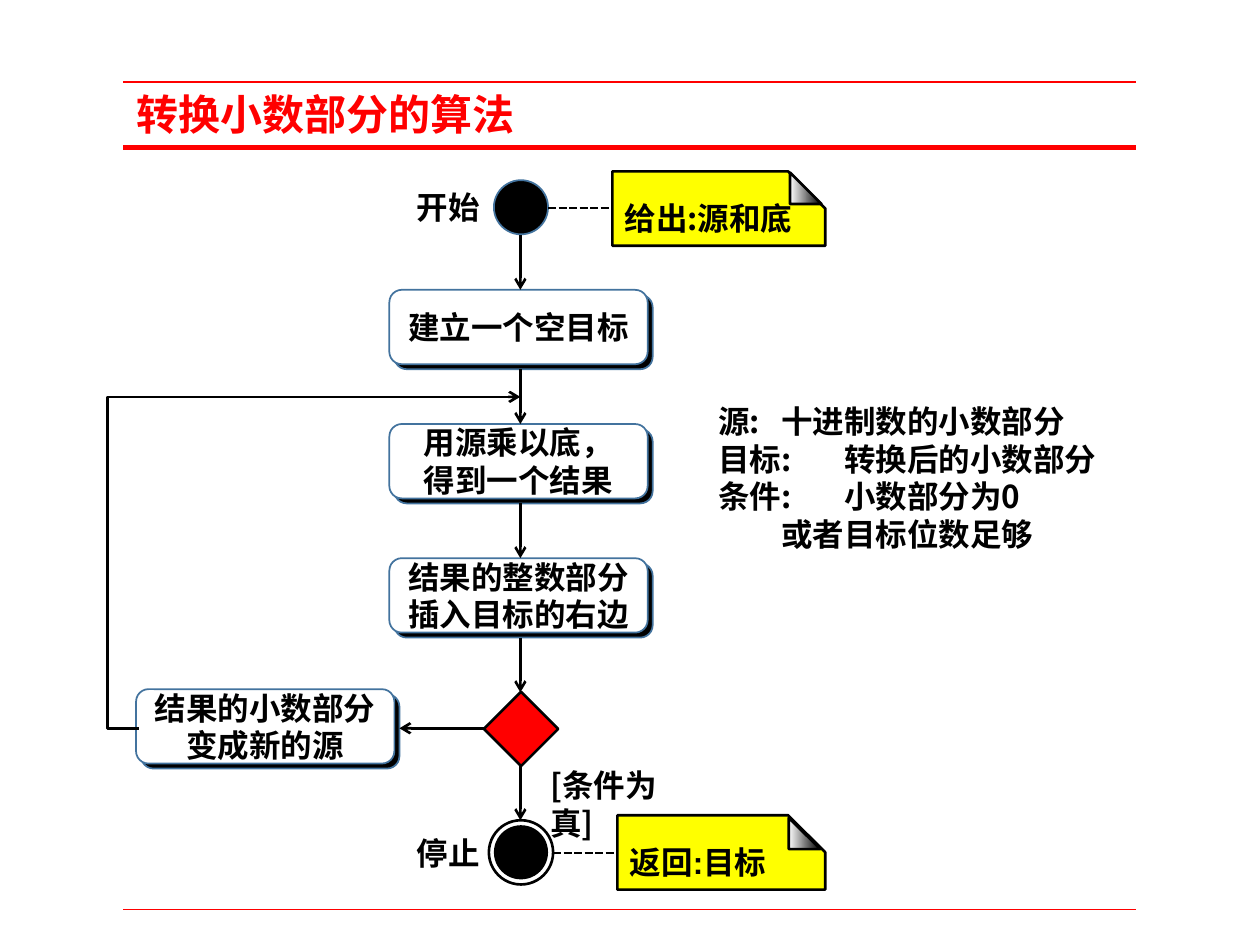
from dataclasses import dataclass
from typing import Optional

from lxml.etree import SubElement
from pptx import Presentation
from pptx.dml.color import RGBColor
from pptx.enum.dml import MSO_LINE
from pptx.enum.shapes import MSO_CONNECTOR, MSO_SHAPE
from pptx.enum.text import MSO_ANCHOR, PP_ALIGN
from pptx.oxml.ns import qn
from pptx.util import Inches, Pt


@dataclass(frozen=True)
class Theme:
    black: str = "000000"
    white: str = "FFFFFF"
    red: str = "FF0000"
    yellow: str = "FFFF00"
    blue: str = "43739E"
    chinese: str = "Noto Sans CJK SC"
    latin: str = "Calibri"
    note_latin: str = "Arial"
    title_size: float = 24
    text_size: float = 18
    thin: float = 0.75
    outline: float = 1
    normal: float = 1.5
    thick: float = 3


@dataclass(frozen=True)
class Area:
    left: float
    top: float
    width: float
    height: float


@dataclass(frozen=True)
class Step:
    left: float
    top: float
    text: str
    font: str


@dataclass(frozen=True)
class Note:
    area: Area
    text: str
    font: str
    fold_left: float
    fold_top: float
    link_left: float
    link_top: float


@dataclass(frozen=True)
class Label:
    area: Area
    text: str
    font: str
    wrap: bool = False


THEME = Theme()
SLIDE_WIDTH, SLIDE_HEIGHT = Inches(10), Inches(7.5)
AXIS = 41.3
STEP_LEFT, STEP_TOP, STEP_PITCH = 30.9, 30.67, 14.2
STEP_WIDTH, STEP_HEIGHT = 20.5, 7.87
SHADOW_X, SHADOW_Y = 0.4, 0.53
ARROW_LENGTH = 5.8

STEPS = [
    Step(STEP_LEFT, STEP_TOP, "建立一个空目标", THEME.latin),
    Step(STEP_LEFT, STEP_TOP + STEP_PITCH, "用源乘以底，\n得到一个结果", THEME.latin),
    Step(STEP_LEFT, STEP_TOP + 2 * STEP_PITCH, "结果的整数部分\n插入目标的右边", THEME.chinese),
    Step(10.8, 72.93, "结果的小数部分\n变成新的源", THEME.latin),
]
NOTES = [
    Note(Area(48.6, 18.13, 16.9, 7.87), "给出:源和底", THEME.chinese, 62.7, 18.27, 43.5, 22),
    Note(Area(49, 86.27, 16.5, 7.87), "返回:目标", THEME.note_latin, 62.6, 86.53, 43.9, 90.27),
]
LABELS = [
    Label(Area(32.1, 19.2, 7.1, 5.33), "开始", THEME.latin),
    Label(Area(32.1, 87.6, 7.1, 5.33), "停止", THEME.latin),
    Label(Area(42.7, 80.4, 13.8, 5.33), "[条件为真]", THEME.chinese, True),
    Label(
        Area(56, 41.87, 34.8, 17.47),
        "源:\t十进制数的小数部分\n目标:\t转换后的小数部分\n条件:\t小数部分为0\n\t或者目标位数足够",
        THEME.chinese,
    ),
]


def across(percent: float) -> int:
    return round(SLIDE_WIDTH * percent / 100)


def down(percent: float) -> int:
    return round(SLIDE_HEIGHT * percent / 100)


def bounds(area: Area) -> tuple:
    return across(area.left), down(area.top), across(area.width), down(area.height)


def write(frame, text: str, font: str, size: float = THEME.text_size,
          color: str = THEME.black, align=PP_ALIGN.LEFT) -> None:
    frame.text = text
    for paragraph in frame.paragraphs:
        paragraph.alignment = align
        paragraph.font.name = font
        paragraph.font.size = Pt(size)
        paragraph.font.bold = True
        paragraph.font.color.rgb = RGBColor.from_string(color)


def add_shape(slide, kind, area: Area, fill: Optional[str], line: Optional[str] = THEME.black,
              weight: float = THEME.normal):
    shape = slide.shapes.add_shape(kind, *bounds(area))
    shape.shadow.inherit = False
    if fill:
        shape.fill.solid()
        shape.fill.fore_color.rgb = RGBColor.from_string(fill)
    else:
        shape.fill.background()
    if line:
        shape.line.color.rgb = RGBColor.from_string(line)
        shape.line.width = Pt(weight)
    else:
        shape.line.fill.background()
    return shape


def add_line(slide, start: tuple, end: tuple, color: str = THEME.black, weight: float = THEME.normal,
             arrow: bool = False, dashed: bool = False, kind=MSO_CONNECTOR.STRAIGHT):
    connector = slide.shapes.add_connector(
        kind, across(start[0]), down(start[1]), across(end[0]), down(end[1]))
    connector.line.color.rgb = RGBColor.from_string(color)
    connector.line.width = Pt(weight)
    if dashed:
        connector.line.dash_style = MSO_LINE.SQUARE_DOT
    if arrow:
        SubElement(connector.line._get_or_add_ln(), qn("a:tailEnd"), type="arrow")
    SubElement(connector._element.spPr, qn("a:effectLst"))
    return connector


def add_step(slide, step: Step) -> None:
    kind = MSO_SHAPE.FLOWCHART_ALTERNATE_PROCESS
    shade = Area(step.left + SHADOW_X, step.top + SHADOW_Y, STEP_WIDTH, STEP_HEIGHT)
    add_shape(slide, kind, shade, THEME.black, THEME.blue, THEME.outline)
    front = Area(step.left, step.top, STEP_WIDTH, STEP_HEIGHT)
    box = add_shape(slide, kind, front, THEME.white, THEME.blue, THEME.outline)
    box.text_frame.vertical_anchor = MSO_ANCHOR.MIDDLE
    write(box.text_frame, step.text, step.font, align=PP_ALIGN.CENTER)


def add_note(slide, note: Note) -> None:
    add_line(slide, (note.link_left, note.link_top), (note.area.left, note.link_top), dashed=True)
    sheet = add_shape(slide, MSO_SHAPE.SNIP_1_RECTANGLE, note.area, THEME.yellow)
    sheet.adjustments[0] = 0.5
    sheet.text_frame.vertical_anchor = MSO_ANCHOR.MIDDLE
    write(sheet.text_frame, note.text, note.font)
    fold = add_shape(slide, MSO_SHAPE.RIGHT_TRIANGLE,
                     Area(note.fold_left, note.fold_top, 2.5, 3.33), THEME.white)
    fold.fill.gradient()
    fold.fill.gradient_angle = 0
    for stop, position, color in zip(fold.fill.gradient_stops, (0, 1), (THEME.white, THEME.black)):
        stop.position = position
        stop.color.rgb = RGBColor.from_string(color)


def add_label(slide, label: Label) -> None:
    box = slide.shapes.add_textbox(*bounds(label.area))
    box.text_frame.word_wrap = label.wrap
    write(box.text_frame, label.text, label.font)


def add_loop(slide) -> None:
    loop = add_line(slide, (11, 77.07), (AXIS, 42), arrow=True, kind=MSO_CONNECTOR.ELBOW)
    guides = loop._element.spPr.find(qn("a:prstGeom")).get_or_add_avLst()
    SubElement(guides, qn("a:gd"), name="adj1", fmla="val -8200")


def main() -> None:
    presentation = Presentation()
    presentation.slide_width, presentation.slide_height = SLIDE_WIDTH, SLIDE_HEIGHT
    slide = presentation.slides.add_slide(presentation.slide_layouts[5])
    title = slide.shapes.title
    title.left, title.top, title.width, title.height = bounds(Area(9.8, 8.67, 80.3, 6.8))
    title.text_frame.vertical_anchor = MSO_ANCHOR.MIDDLE
    write(title.text_frame, "转换小数部分的算法", THEME.chinese, THEME.title_size, THEME.red)
    for top, weight in ((15.6, THEME.thick), (96.27, THEME.thin), (8.67, THEME.thin)):
        add_line(slide, (9.8, top), (90.2, top), THEME.red, weight)

    add_shape(slide, MSO_SHAPE.OVAL, Area(39.2, 19.07, 4.3, 5.73), THEME.black, THEME.blue, THEME.outline)
    for step in STEPS:
        add_step(slide, step)
    for index in range(4):
        tip = STEP_TOP + index * STEP_PITCH
        add_line(slide, (AXIS, tip - ARROW_LENGTH), (AXIS, tip), arrow=True)
    add_shape(slide, MSO_SHAPE.FLOWCHART_DECISION, Area(38.4, 73.2, 5.9, 7.87), THEME.red)
    add_line(slide, (AXIS, 81.07), (AXIS, 86.8), arrow=True)
    add_line(slide, (38.4, 77.07), (31.7, 77.07), arrow=True)
    add_loop(slide)
    add_shape(slide, MSO_SHAPE.FLOWCHART_CONNECTOR, Area(39.2, 87.33, 4.3, 5.73), THEME.black, None)
    add_shape(slide, MSO_SHAPE.FLOWCHART_CONNECTOR, Area(38.8, 86.8, 5.1, 6.8), None)
    for note in NOTES:
        add_note(slide, note)
    for label in LABELS:
        add_label(slide, label)
    presentation.save("out.pptx")


if __name__ == "__main__":
    main()
